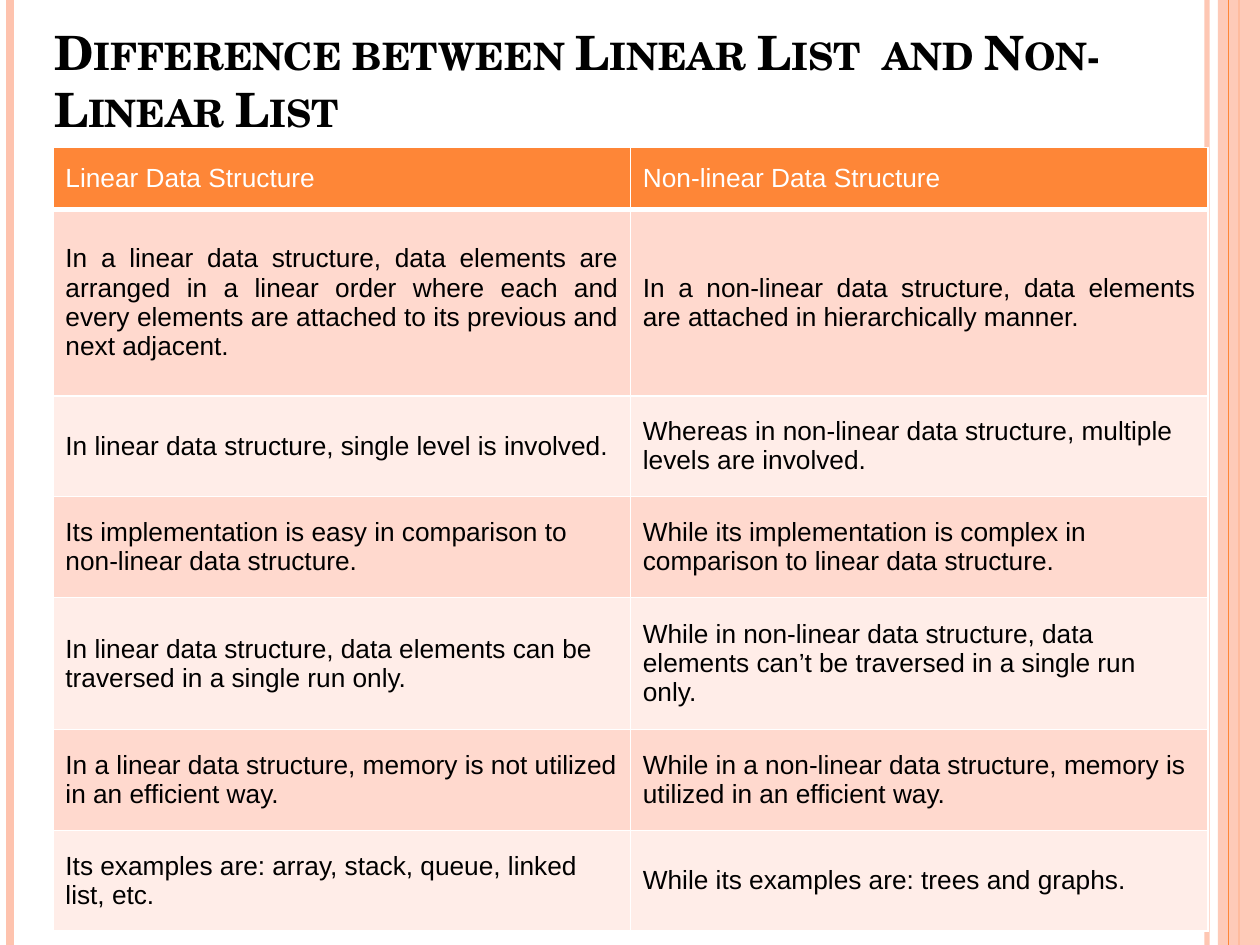
"""Build a slide that compares linear and non-linear data structures in a table."""
from pptx import Presentation
from pptx.dml.color import RGBColor
from pptx.enum.shapes import MSO_CONNECTOR as Connector, MSO_SHAPE as Shape
from pptx.enum.text import MSO_ANCHOR as Anchor, PP_ALIGN as Align
from pptx.oxml.ns import qn
from pptx.oxml.xmlchemy import OxmlElement as Element
from pptx.util import Cm, Pt

BLACK = RGBColor(0x00, 0x00, 0x00)
WHITE = RGBColor(0xFF, 0xFF, 0xFF)
ORANGE = RGBColor(0xFE, 0x86, 0x37)
PEACH = RGBColor(0xFE, 0xC3, 0xAE)
BANDS = (RGBColor(0xFF, 0xD9, 0xCE), RGBColor(0xFF, 0xED, 0xE8))

SLIDE_WIDTH, SLIDE_HEIGHT = 25.4, 19.05
ROW_HEIGHTS = (1.25, 3.76, 2.01, 2.01, 2.64, 2.01, 2.01)
COMPARISON = (
    ("Linear Data Structure", "Non-linear Data Structure"),
    ("In a linear data structure, data elements are arranged in a linear order where each "
     "and every elements are attached to its previous and next adjacent.",
     "In a non-linear data structure, data elements are attached in hierarchically manner."),
    ("In linear data structure, single level is involved.",
     "Whereas in non-linear data structure, multiple levels are involved."),
    ("Its implementation is easy in comparison to non-linear data structure.",
     "While its implementation is complex in comparison to linear data structure."),
    ("In linear data structure, data elements can be traversed in a single run only.",
     "While in non-linear data structure, data elements can’t be traversed in a single run only."),
    ("In a linear data structure, memory is not utilized in an efficient way.",
     "While in a non-linear data structure, memory is utilized in an efficient way."),
    ("Its examples are: array, stack, queue, linked list, etc.",
     "While its examples are: trees and graphs."),
)


def write(frame, text, font="Arial", size=15, color=BLACK, bold=False, align=Align.LEFT,
          small_caps=False):
    paragraph = frame.paragraphs[0]
    paragraph.alignment = align
    run = paragraph.add_run()
    run.text = text
    run.font.name, run.font.size, run.font.bold = font, Pt(size), bold
    run.font.color.rgb = color
    if small_caps:
        run.font._element.set("cap", "small")


def set_opacity(shape, percent):
    alpha = Element("a:alpha")
    alpha.set("val", str(percent * 1000))
    shape._element.spPr.find(".//" + qn("a:srgbClr")).append(alpha)


def set_borders(cell, **widths):
    properties = cell._tc.get_or_add_tcPr()
    for side in "LRTB":
        border = Element(f"a:ln{side}")
        border.set("w", str(Pt(widths.get(side, 1))))
        fill, color = Element("a:solidFill"), Element("a:srgbClr")
        color.set("val", str(WHITE))
        fill.append(color)
        border.append(fill)
        properties.append(border)


class Deck:
    def __init__(self):
        self.presentation = Presentation()
        self.presentation.slide_width = Cm(SLIDE_WIDTH)
        self.presentation.slide_height = Cm(SLIDE_HEIGHT)
        self.slide = self.presentation.slides.add_slide(self.presentation.slide_layouts[6])

    def stripe(self, x, color, width, opacity=100):
        line = self.slide.shapes.add_connector(
            Connector.STRAIGHT, Cm(x), 0, Cm(x), Cm(SLIDE_HEIGHT))
        line.line.color.rgb, line.line.width = color, Pt(width)
        line._element.spPr.append(Element("a:effectLst"))
        if opacity < 100:
            set_opacity(line, opacity)
        return line

    def band(self, x, width, color, opacity):
        band = self.slide.shapes.add_shape(
            Shape.RECTANGLE, Cm(x), 0, Cm(width), Cm(SLIDE_HEIGHT))
        band.shadow.inherit = False
        band.fill.solid()
        band.fill.fore_color.rgb = color
        band.line.fill.background()
        set_opacity(band, opacity)
        return band

    def title(self, text, x, y, width, height):
        frame = self.slide.shapes.add_textbox(Cm(x), Cm(y), Cm(width), Cm(height)).text_frame
        frame.word_wrap = True
        frame.vertical_anchor = Anchor.BOTTOM
        write(frame, text, font="TeX Gyre Schola", size=27, bold=True, small_caps=True)

    def table(self, rows, heights, x, y, width):
        table = self.slide.shapes.add_table(
            len(rows), len(rows[0]), Cm(x), Cm(y), Cm(width), Cm(sum(heights))).table
        for column in table.columns:
            column.width = Cm(width / len(rows[0]))
        for index, (texts, height) in enumerate(zip(rows, heights)):
            table.rows[index].height = Cm(height)
            for cell, text in zip(table.rows[index].cells, texts):
                self.cell(cell, text, index)

    def cell(self, cell, text, row):
        header = row == 0
        set_borders(cell, B=3 if header else 1, T=3 if row == 1 else 1)
        cell.fill.solid()
        cell.fill.fore_color.rgb = ORANGE if header else BANDS[(row - 1) % 2]
        cell.vertical_anchor = Anchor.MIDDLE
        cell.margin_left = cell.margin_right = Cm(0.25)
        cell.margin_top = cell.margin_bottom = Cm(0.25 if header else 0.38)
        write(cell.text_frame, text, color=WHITE if header else BLACK,
              align=Align.JUSTIFY if row < 2 else Align.LEFT)


def main():
    deck = Deck()
    deck.stripe(24.33, PEACH, 3, opacity=93)
    deck.stripe(0.21, PEACH, 4.5)
    band_axis = deck.stripe(24.97, ORANGE, 1.5)
    right_band = deck.band(24.55, 0.85, PEACH, opacity=87)
    band_axis.begin_connect(right_band, 0)
    band_axis.end_connect(right_band, 2)
    deck.stripe(24.76, ORANGE, 0.75)
    deck.title("Difference between Linear List  and Non-Linear List", 0.84, 0.43, 22.43, 2.46)
    deck.table(COMPARISON, ROW_HEIGHTS, 1.07, 2.97, 23.28)
    deck.presentation.save("out.pptx")


if __name__ == "__main__":
    main()
